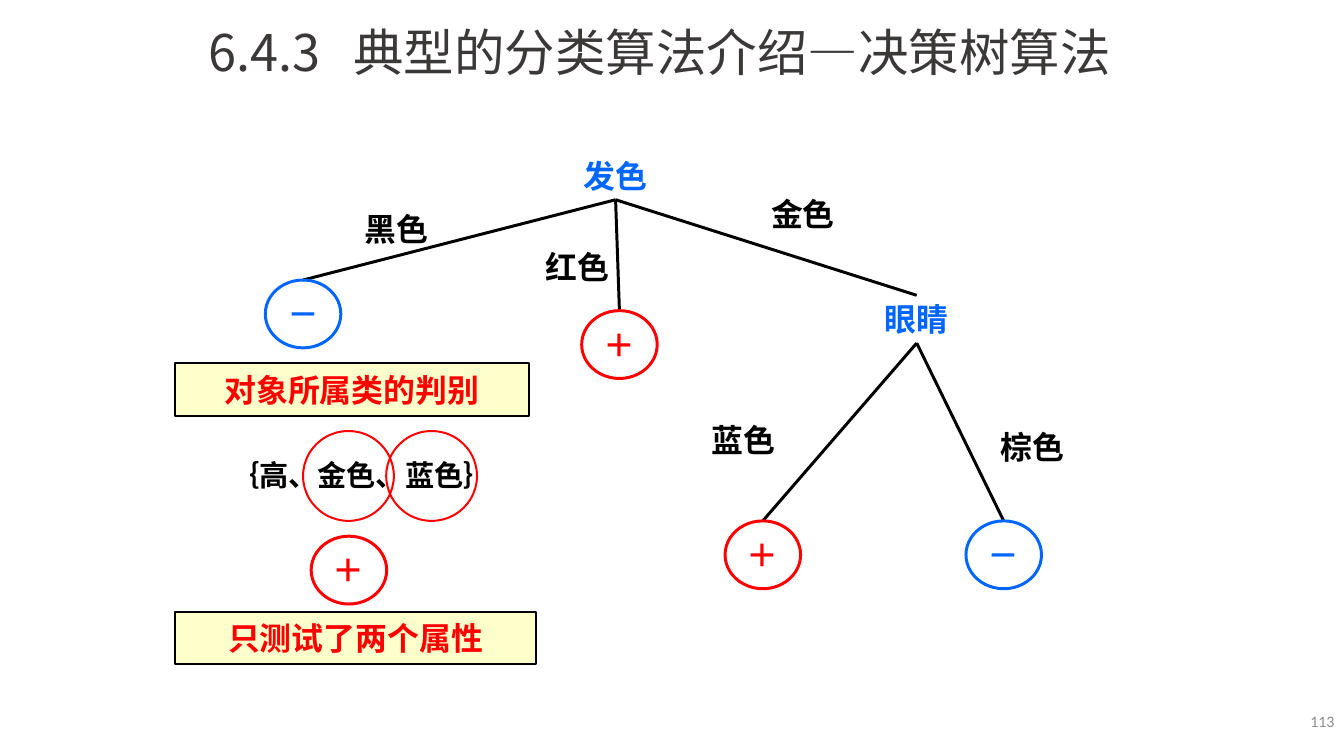
from lxml import etree
from pptx import Presentation
from pptx.dml.color import RGBColor
from pptx.enum.shapes import MSO_CONNECTOR, MSO_SHAPE
from pptx.enum.text import MSO_ANCHOR, PP_ALIGN
from pptx.oxml.ns import qn
from pptx.util import Inches, Pt

CJK = "Noto Sans CJK SC"
BLUE, RED, BLACK, CREAM = "0066FF", "FF0000", "000000", "FFFFCC"

SECTION, TOPIC = "6.4.3", "典型的分类算法介绍—决策树算法"
PAGE_NUMBER = "113"

# Tree nodes: text, centre x, top
ATTRIBUTES = {"hair": ("发色", 6.44, 1.59), "eyes": ("眼睛", 9.59, 3.09)}
LEAVES = {
    "black": ("－", 3.17, 2.93),
    "red": ("＋", 6.48, 3.25),
    "blue": ("＋", 7.98, 5.45),
    "brown": ("－", 10.5, 5.45),
}
# Branches: parent, child, value, centre x and top of the value
BRANCHES = [
    ("hair", "black", "黑色", 4.15, 2.14),
    ("hair", "red", "红色", 6.04, 2.54),
    ("hair", "eyes", "金色", 8.4, 1.99),
    ("eyes", "blue", "蓝色", 7.78, 4.35),
    ("eyes", "brown", "棕色", 10.8, 4.43),
]
# Banners: text, top, width
BANNERS = [("对象所属类的判别", 3.8, 3.7), ("只测试了两个属性", 6.4, 3.78)]
BANNER_LEFT, BANNER_HEIGHT = 1.83, 0.55
SAMPLE = "｛高、金色、蓝色｝"
SAMPLE_RESULT = ("＋", 3.65, 5.61)
TESTED_LEFTS = [3.17, 4.04]

LABEL_W, LABEL_H = 1.65, 0.5
LEAF_W, LEAF_H = 0.79, 0.71
SIGN_COLORS = {"＋": RED, "－": BLUE}

prs = Presentation()
prs.slide_width, prs.slide_height = Inches(14.06), Inches(7.91)
slide = prs.slides.add_slide(prs.slide_layouts[6])


def rgb(hex_color):
    return RGBColor.from_string(hex_color)


def write(shape, text, size, font, color, bold=True,
          align=PP_ALIGN.CENTER, anchor=MSO_ANCHOR.MIDDLE, wrap=True):
    frame = shape.text_frame
    frame.word_wrap = wrap
    frame.vertical_anchor = anchor
    paragraph = frame.paragraphs[0]
    paragraph.alignment = align
    run = paragraph.add_run()
    run.text = text
    run.font.size, run.font.bold = Pt(size), bold
    run.font.color.rgb = rgb(color)
    run.font.name = font
    etree.SubElement(run.font._element, qn("a:ea"), typeface=CJK)
    return paragraph


def add_text(box, text, size, font, color, **options):
    shape = slide.shapes.add_textbox(*map(Inches, box))
    return write(shape, text, size, font, color, **options)


def add_label(text, center, top, color):
    add_text((center - LABEL_W / 2, top, LABEL_W, LABEL_H), text, 24, "Arial",
             color, anchor=MSO_ANCHOR.TOP)


def add_outlined(kind, box, line, width, fill=None):
    shape = slide.shapes.add_shape(kind, *map(Inches, box))
    shape.shadow.inherit = False
    if fill:
        shape.fill.solid()
        shape.fill.fore_color.rgb = rgb(fill)
    else:
        shape.fill.background()
    shape.line.color.rgb = rgb(line)
    shape.line.width = Pt(width)
    return shape


def add_leaf(sign, center, top):
    color = SIGN_COLORS[sign]
    box = (center - LEAF_W / 2, top, LEAF_W, LEAF_H)
    leaf = add_outlined(MSO_SHAPE.OVAL, box, color, 2.25)
    write(leaf, sign, 24, "Calibri", color, wrap=False)


def add_branch(parent, child):
    """Join the bottom of an attribute to the top of its child."""
    _, x1, y1 = ATTRIBUTES[parent]
    _, x2, y2 = {**ATTRIBUTES, **LEAVES}[child]
    ends = map(Inches, (x1, y1 + LABEL_H, x2, y2))
    line = slide.shapes.add_connector(MSO_CONNECTOR.STRAIGHT, *ends)
    line.line.color.rgb = rgb(BLACK)
    line.line.width = Pt(2.25)
    etree.SubElement(line._element.spPr, qn("a:effectLst"))


add_text((10.9, 7.33, 3.16, 0.42), PAGE_NUMBER, 12, "Calibri", "8C8C8C",
         bold=False, align=PP_ALIGN.RIGHT)
title = add_text((2.08, 0.17, 9.76, 0.75), f"{SECTION}\t{TOPIC}", 38, CJK,
                 "3B3838", bold=False, align=PP_ALIGN.LEFT,
                 anchor=MSO_ANCHOR.TOP)
tabs = etree.SubElement(title._p.get_or_add_pPr(), qn("a:tabLst"))
etree.SubElement(tabs, qn("a:tab"), pos=str(Inches(1.52)), algn="l")

for parent, child, value, center, top in BRANCHES:
    add_branch(parent, child)
    add_label(value, center, top, BLACK)
for attribute in ATTRIBUTES.values():
    add_label(*attribute, BLUE)
for leaf in [*LEAVES.values(), SAMPLE_RESULT]:
    add_leaf(*leaf)

for text, top, width in BANNERS:
    banner = add_outlined(MSO_SHAPE.RECTANGLE,
                          (BANNER_LEFT, top, width, BANNER_HEIGHT),
                          BLACK, 1.5, CREAM)
    write(banner, text, 24, "Calibri", RED, wrap=False)

add_text((1.99, 4.74, 3.58, 0.47), SAMPLE, 22, CJK, BLACK,
         anchor=MSO_ANCHOR.TOP)
for left in TESTED_LEFTS:
    add_outlined(MSO_SHAPE.OVAL, (left, 4.51, 0.95, 0.94), RED, 1.5)

prs.save("out.pptx")
